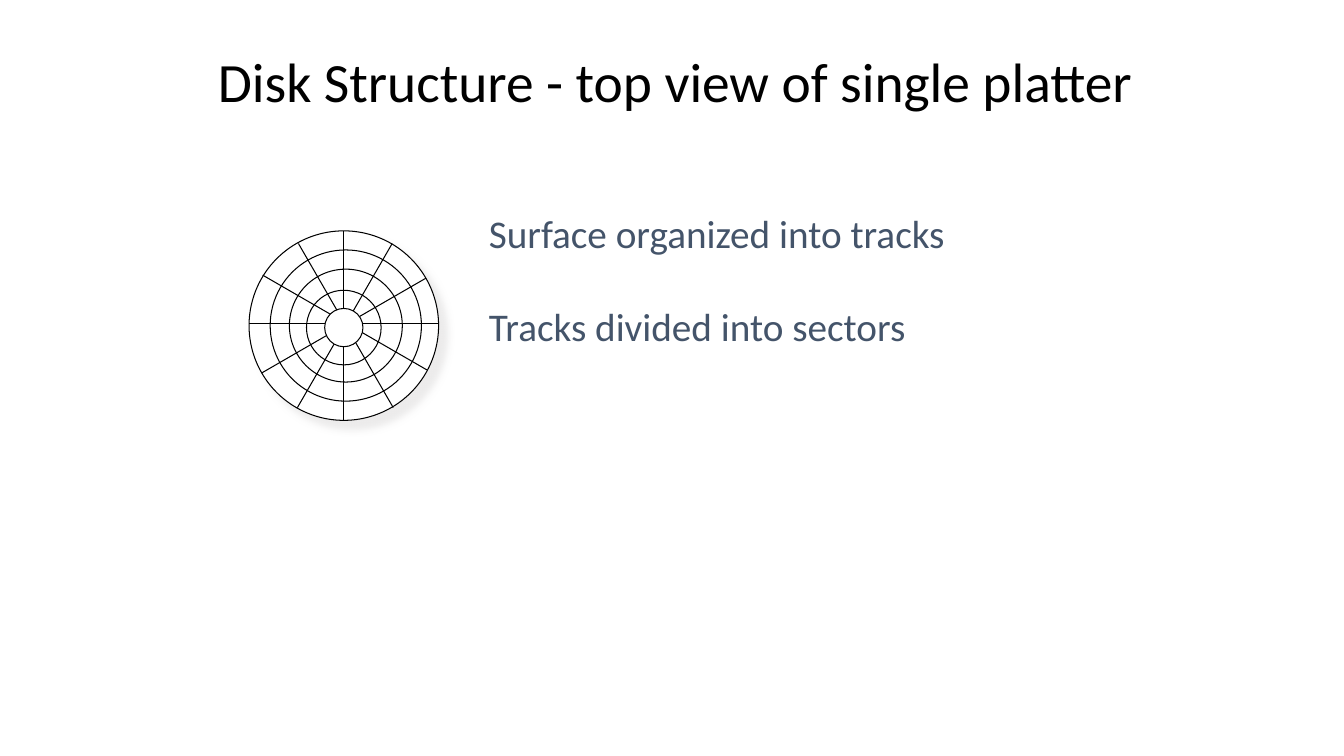
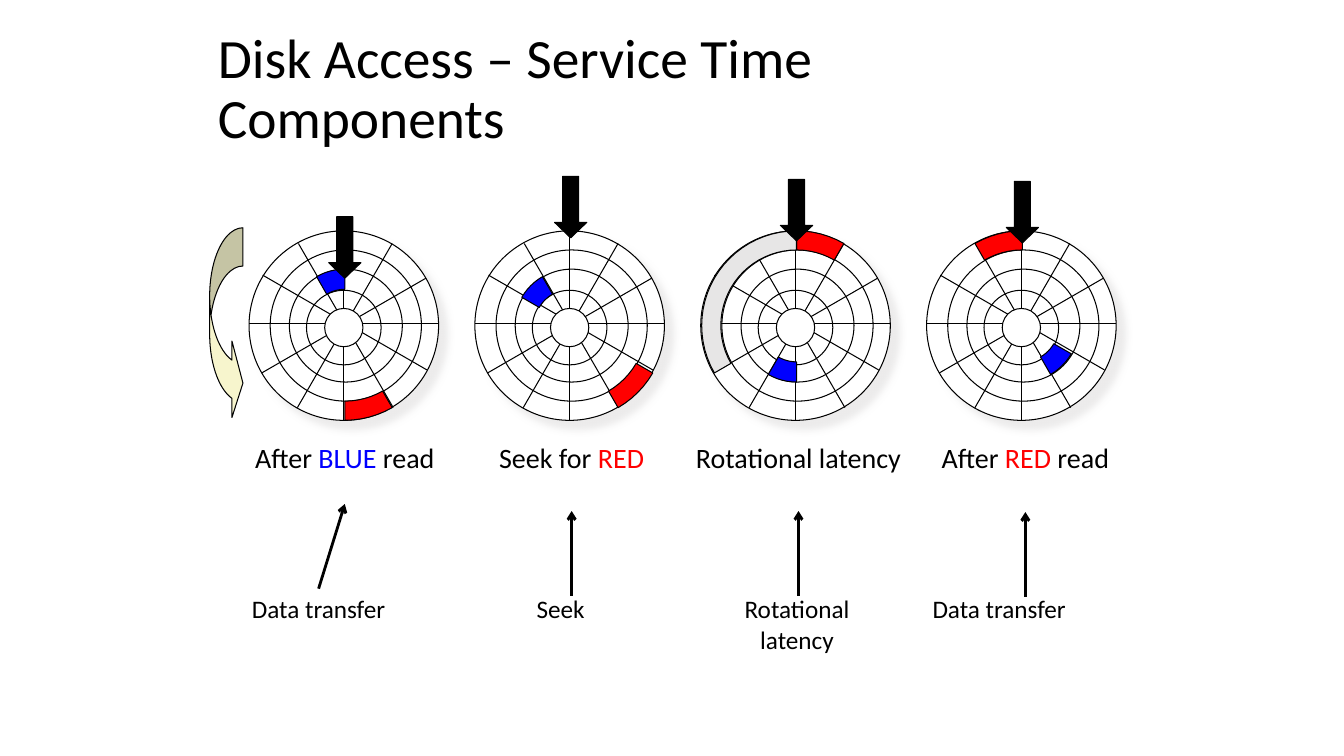
"""Build two slides on disk structure and disk access time."""
import math

import lxml.etree
import pptx
import pptx.dml.color
import pptx.enum.shapes
import pptx.enum.text
import pptx.oxml.ns
import pptx.util

RGB = pptx.dml.color.RGBColor
BLACK, WHITE = RGB(0, 0, 0), RGB(255, 255, 255)
BLUE, RED = RGB(0, 0, 255), RGB(255, 0, 0)
SLATE, GREY, CREAM = RGB(0x44, 0x54, 0x6A), RGB(0xE7, 0xE6, 0xE6), RGB(0xF7, 0xF5, 0xCD)
FONT = "Calibri"
SHAPE = pptx.enum.shapes.MSO_SHAPE
ALIGN = pptx.enum.text.PP_ALIGN
ANCHOR = pptx.enum.text.MSO_ANCHOR
inch = pptx.util.Inches
qn = pptx.oxml.ns.qn

STRUCTURE_TITLE = "Disk Structure - top view of single platter"
STRUCTURE_POINTS = ["Surface organized into tracks", "Tracks divided into sectors"]
ACCESS_TITLE = "Disk Access – Service Time Components"

DISK_X, DISK_Y, DISK_PITCH, RADIUS = 3.41, 3.23, 2.24, 0.94
CAPTION_X, CAPTION_PITCH = 3.42, 2.25
RINGS = [(0.02, 0, 0.75), (0.02, 0, 0.56), (0, 0.02, 0.37)]
HUB = (0, 0.02, 0.19)
SPOKE_SHIFTS = [(0, 0), (0.01, 0), (0, 0), (0, -0.02), (0.01, -0.03), (0.02, 0)]
OUTER_TRACK, INNER_TRACK = (0.75, 0.94), (0.36, 0.56)

STAGES = [
    {"caption": [("After ", BLACK), ("BLUE ", BLUE), ("read", BLACK)], "head_top": 2.15,
     "sectors": [(INNER_TRACK, 330, 360, BLUE), (OUTER_TRACK, 150, 180, RED)],
     "label": ("Data transfer", 2.39, 1.54), "pointer": (-0.26, 5.84, 5)},
    {"caption": [("Seek for ", BLACK), ("RED", RED)], "head_top": 1.75,
     "sectors": [(OUTER_TRACK, 120, 150, RED), (INNER_TRACK, 300, 330, BLUE)],
     "label": ("Seek", 5.22, 0.68), "pointer": (0, 5.91, 5.07)},
    {"caption": [("Rotational latency", BLACK)], "head_top": 1.78,
     "sectors": [(OUTER_TRACK, 0, 30, RED), (INNER_TRACK, 180, 210, BLUE),
                 (OUTER_TRACK, 240, 360, GREY)],
     "label": ("Rotational\nlatency", 7, 1.81), "pointer": (0, 5.91, 5.07)},
    {"caption": [("After ", BLACK), ("RED", RED), (" read", BLACK)], "head_top": 1.8,
     "sectors": [(OUTER_TRACK, 330, 360, RED), (INNER_TRACK, 120, 150, BLUE)],
     "label": ("Data transfer", 9.14, 1.54), "pointer": (0, 5.92, 5.08)},
]


def polar(x, y, radius, degrees):
    """Return the point at a clockwise angle from the top."""
    angle = math.radians(degrees)
    return x + radius * math.sin(angle), y - radius * math.cos(angle)


def paint(shape, fill):
    """Give a shape its fill and a thin black outline."""
    shape.shadow.inherit = False
    shape.fill.solid()
    shape.fill.fore_color.rgb = fill
    shape.line.color.rgb = BLACK
    shape.line.width = pptx.util.Pt(0.75)
    return shape


def add_preset(shapes, kind, left, top, width, height, fill, adjustments=()):
    """Add a painted preset shape."""
    shape = shapes.add_shape(kind, inch(left), inch(top), inch(width), inch(height))
    for index, value in enumerate(adjustments):
        shape.adjustments[index] = value
    return paint(shape, fill)


def add_circle(shapes, x, y, radius):
    """Add a white circle around a centre."""
    return add_preset(shapes, SHAPE.OVAL, x - radius, y - radius, 2 * radius, 2 * radius, WHITE)


def add_line(shapes, start, end, width=0.75, arrow=False):
    """Add a straight black line, with an optional arrowhead."""
    line = shapes.add_connector(pptx.enum.shapes.MSO_CONNECTOR.STRAIGHT,
                                *[inch(value) for value in (*start, *end)])
    line.line.color.rgb = BLACK
    line.line.width = pptx.util.Pt(width)
    properties = line._element.spPr
    if arrow:
        lxml.etree.SubElement(properties.find(qn("a:ln")), qn("a:tailEnd"), type="arrow")
    lxml.etree.SubElement(properties, qn("a:effectLst"))


def cast_shadow(shape):
    """Add a soft grey shadow to the lower right."""
    effects = shape._element.spPr.find(qn("a:effectLst"))
    shadow = lxml.etree.SubElement(
        effects, qn("a:outerShdw"), blurRad=str(pptx.util.Pt(5)),
        dist=str(pptx.util.Pt(8.5)), dir=str(45 * 60000), algn="tl", rotWithShape="0")
    colour = lxml.etree.SubElement(shadow, qn("a:srgbClr"), val=str(GREY))
    lxml.etree.SubElement(colour, qn("a:alpha"), val="75000")


def add_sector(shapes, x, y, track, start, end, fill):
    """Add a filled stretch of one track."""
    inner, outer = track
    angles = range(start, end + 1, 5)
    points = [polar(x, y, outer, angle) for angle in angles]
    points += [polar(x, y, inner, angle) for angle in reversed(angles)]
    corners = [(inch(across), inch(down)) for across, down in points]
    builder = shapes.build_freeform(*corners[0])
    builder.add_line_segments(corners[1:], close=True)
    paint(builder.convert_to_shape(), fill)


def add_disk(page, x, sectors=()):
    """Add a platter with its tracks, spokes, hub and marked sectors."""
    shapes = page.shapes.add_group_shape().shapes
    cast_shadow(add_circle(shapes, x, DISK_Y, RADIUS))
    for across, down, radius in RINGS:
        add_circle(shapes, x + across, DISK_Y + down, radius)
    for index, (across, down) in enumerate(SPOKE_SHIFTS):
        start, end = [polar(x + across, DISK_Y + down, RADIUS, 30 * index + turn)
                      for turn in (0, 180)]
        add_line(shapes, start, end)
    add_circle(shapes, x + HUB[0], DISK_Y + HUB[1], HUB[2])
    for sector in sectors:
        add_sector(shapes, x + 0.01, DISK_Y, *sector)


def add_text(page, left, top, width, height, runs, size, align=ALIGN.CENTER, anchor=ANCHOR.TOP):
    """Add a text box; a newline in a run's text starts a new paragraph."""
    box = page.shapes.add_textbox(inch(left), inch(top), inch(width), inch(height))
    frame = box.text_frame
    frame.word_wrap = True
    frame.vertical_anchor = anchor
    para = frame.paragraphs[0]
    for text, colour in runs:
        for index, piece in enumerate(text.split("\n")):
            para = frame.add_paragraph() if index else para
            span = para.add_run()
            span.text = piece
            span.font.color.rgb = colour
    for para in frame.paragraphs:
        para.alignment = align
        para.font.name = FONT
        para.font.size = pptx.util.Pt(size)


def add_page(deck, title, top, width):
    """Add a slide with the shared title style."""
    page = deck.slides.add_slide(deck.slide_layouts[5])
    heading = page.shapes.title
    heading.left, heading.top = inch(2.06), inch(top)
    heading.width, heading.height = inch(width), inch(0.83)
    frame = heading.text_frame
    frame.text = title
    frame.auto_size = pptx.enum.text.MSO_AUTO_SIZE.NONE
    frame.vertical_anchor = ANCHOR.MIDDLE
    para = frame.paragraphs[0]
    para.alignment = ALIGN.LEFT
    para.line_spacing = 0.9
    para.font.name = FONT
    para.font.size = pptx.util.Pt(39.6)
    para.font.color.rgb = BLACK
    return page


def build_structure(deck):
    """Build the slide on tracks and sectors."""
    page = add_page(deck, STRUCTURE_TITLE, 0.42, 9.28)
    add_disk(page, DISK_X)
    for row, point in enumerate(STRUCTURE_POINTS):
        add_text(page, 4.75, 1.67 + 0.92 * row, 6, 0.92, [(point, SLATE)], 28,
                 ALIGN.LEFT, ANCHOR.BOTTOM)


def build_access(deck):
    """Build the slide on the four stages of disk access."""
    page = add_page(deck, ACCESS_TITLE, 0.48, 8.85)
    for column, stage in enumerate(STAGES):
        disk_x = DISK_X + DISK_PITCH * column
        caption_x = CAPTION_X + CAPTION_PITCH * column
        add_disk(page, disk_x, stage["sectors"])
        add_preset(page.shapes, SHAPE.DOWN_ARROW, disk_x - 0.15, stage["head_top"],
                   0.32, 0.61, BLACK, (0.5, 0.48))
        add_text(page, caption_x - 1.17, 4.32, 2.34, 0.43, stage["caption"], 20)
        label, left, width = stage["label"]
        add_text(page, left, 5.84, width, 0.4 + 0.31 * label.count("\n"), [(label, BLACK)], 18)
        shift, tail_y, tip_y = stage["pointer"]
        add_line(page.shapes, (caption_x + shift, tail_y), (caption_x, tip_y), 2, True)
    add_preset(page.shapes, SHAPE.CURVED_RIGHT_ARROW, 2.08, 2.26, 0.33, 1.92, CREAM,
               (1.15, 2.3, 0.33))


deck = pptx.Presentation()
deck.slide_width, deck.slide_height = inch(13.33), inch(7.5)
build_structure(deck)
build_access(deck)
deck.save("out.pptx")
